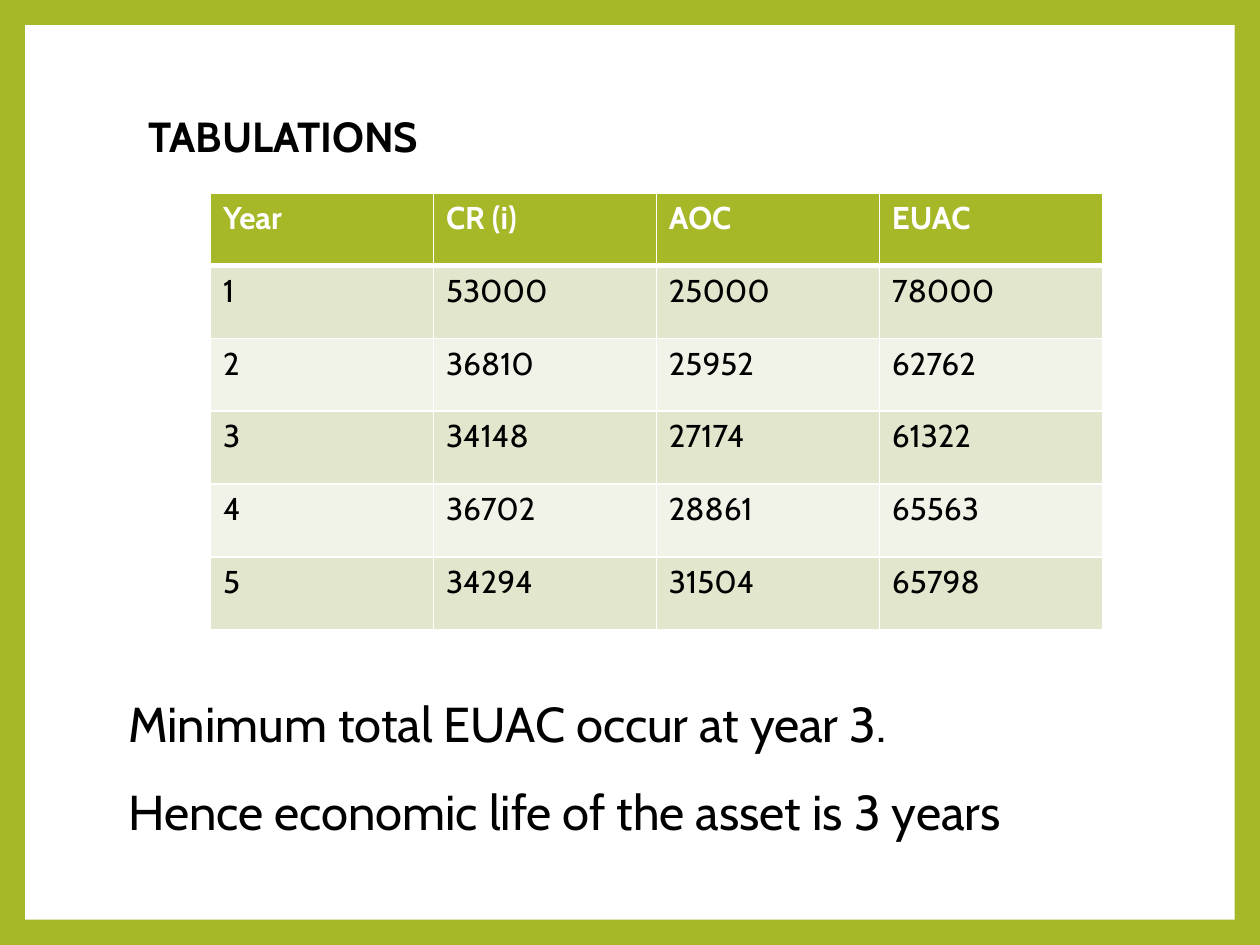
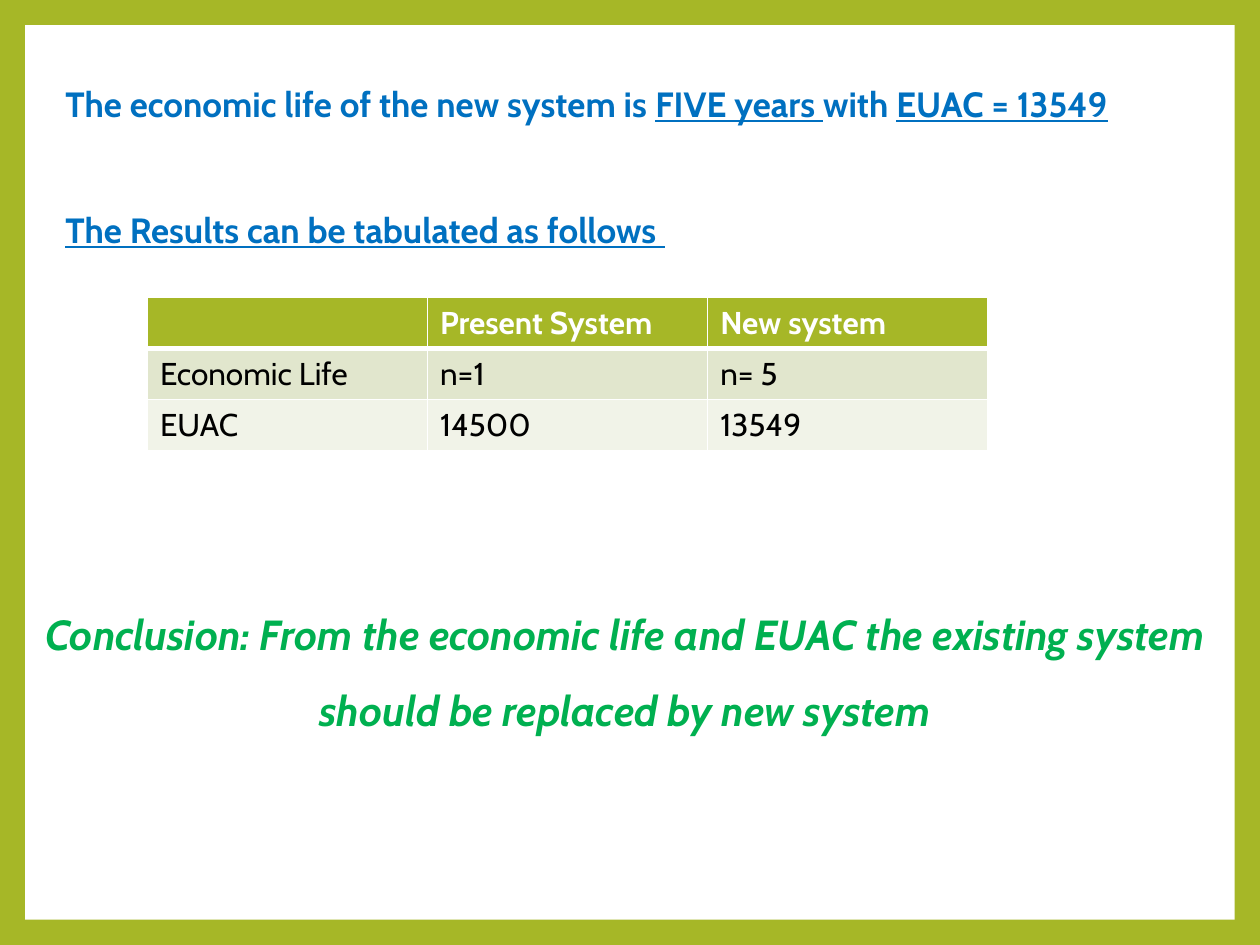
from lxml import etree
from pptx import Presentation
from pptx import util as u
from pptx.dml.color import RGBColor
from pptx.enum import shapes, text
from pptx.oxml.ns import qn

# Shared style
FONT = "Cabin"
GREEN, WHITE, BLACK = "A6B727", "FFFFFF", "000000"
BLUE, CONCLUSION_GREEN = "0070C0", "00B050"
BANDS = ("E1E6CD", "F1F3E8")
COLUMNS, ROWS = 100, 75  # layout grid on a 10 by 7.5 inch slide


def color(value):
    return RGBColor.from_string(value)


def set_border(cell, side, width):
    line = etree.SubElement(cell._tc.get_or_add_tcPr(), qn("a:ln" + side), w=str(u.Pt(width)))
    fill = etree.SubElement(line, qn("a:solidFill"))
    etree.SubElement(fill, qn("a:srgbClr"), val=WHITE)


class Deck:
    def __init__(self):
        self.presentation = Presentation()
        self.presentation.slide_width = u.Inches(10)
        self.presentation.slide_height = u.Inches(7.5)
        self.slide = None

    def box(self, left, top, width, height):
        """Turn grid columns and rows into slide lengths."""
        column = self.presentation.slide_width / COLUMNS
        row = self.presentation.slide_height / ROWS
        return [round(n * unit) for n, unit in
                ((left, column), (top, row), (width, column), (height, row))]

    def new_slide(self):
        """Add a slide with a green border around a white panel."""
        self.slide = self.presentation.slides.add_slide(self.presentation.slide_layouts[6])
        background = self.slide.background.fill
        background.solid()
        background.fore_color.rgb = color(GREEN)
        panel = self.slide.shapes.add_shape(
            shapes.MSO_SHAPE.RECTANGLE, *self.box(2, 2, COLUMNS - 4, ROWS - 4))
        panel.shadow.inherit = False
        panel.fill.solid()
        panel.fill.fore_color.rgb = color(WHITE)
        panel.line.fill.background()

    def style(self, run, size, hue, bold=False, italic=False, underline=False):
        font = run.font
        font.name, font.size = FONT, u.Pt(size)
        font.bold, font.italic, font.underline = bold, italic, underline
        font.color.rgb = color(hue)

    def text(self, place, paragraphs, size, hue=BLACK, bold=False, italic=False,
             spacing=1.0, gap=0, align=text.PP_ALIGN.LEFT):
        """Add paragraphs, each a list of (wording, underlined) parts."""
        frame = self.slide.shapes.add_textbox(*self.box(*place)).text_frame
        frame.word_wrap = True
        for index, parts in enumerate(paragraphs):
            paragraph = frame.add_paragraph() if index else frame.paragraphs[0]
            paragraph.alignment = align
            paragraph.line_spacing = spacing
            if index and gap:
                paragraph.space_before = u.Pt(gap)
            for wording, underline in parts:
                run = paragraph.add_run()
                run.text = wording
                self.style(run, size, hue, bold, italic, underline)

    def table(self, place, records):
        """Add a table with a green header and banded rows."""
        table = self.slide.shapes.add_table(
            len(records), len(records[0]), *self.box(*place)).table
        for row, record in enumerate(records):
            header = row == 0
            for column, wording in enumerate(record):
                cell = table.cell(row, column)
                for side in "LRTB":
                    under_header = (row, side) in ((0, "B"), (1, "T"))
                    set_border(cell, side, 3 if under_header else 1)
                cell.fill.solid()
                cell.fill.fore_color.rgb = color(GREEN if header else BANDS[(row - 1) % 2])
                cell.text_frame.text = wording
                for run in cell.text_frame.paragraphs[0].runs:
                    self.style(run, 18, WHITE if header else BLACK, bold=header)


def main():
    deck = Deck()

    # Slide 1: yearly costs and economic life
    deck.new_slide()
    deck.table((16.7, 15.3, 70.8, 34.7), [
        ("Year", "CR (i)", "AOC", "EUAC"),
        ("1", "53000", "25000", "78000"),
        ("2", "36810", "25952", "62762"),
        ("3", "34148", "27174", "61322"),
        ("4", "36702", "28861", "65563"),
        ("5", "34294", "31504", "65798"),
    ])
    deck.text((10.8, 8.3, 24, 5), [[("TABULATIONS", False)]], 24, bold=True)
    deck.text((9.2, 52.2, 82.7, 14.3), [
        [("Minimum total EUAC occur at year 3.", False)],
        [("Hence economic life of the asset is 3 years", False)],
    ], 28, spacing=1.5)

    # Slide 2: comparison of systems and conclusion
    deck.new_slide()
    deck.text((4.2, 4.4, 94.2, 19.5), [
        [("The economic life of the new system is ", False), ("FIVE years ", True),
         ("with ", False), ("EUAC = 13549", True)],
        [("The Results can be tabulated as follows ", True)],
    ], 20, BLUE, bold=True, spacing=1.5, gap=36)
    deck.table((11.7, 23.6, 66.7, 12.2), [
        ("", "Present System", "New system"),
        ("Economic Life", "n=1", "n= 5"),
        ("EUAC", "14500", "13549"),
    ])
    deck.text((1.7, 45.8, 95.8, 13.1), [
        [("Conclusion: From the economic life and EUAC the existing system "
          "should be replaced by new system", False)],
    ], 24, CONCLUSION_GREEN, bold=True, italic=True, spacing=1.5,
        align=text.PP_ALIGN.CENTER)

    deck.presentation.save("out.pptx")


if __name__ == "__main__":
    main()
